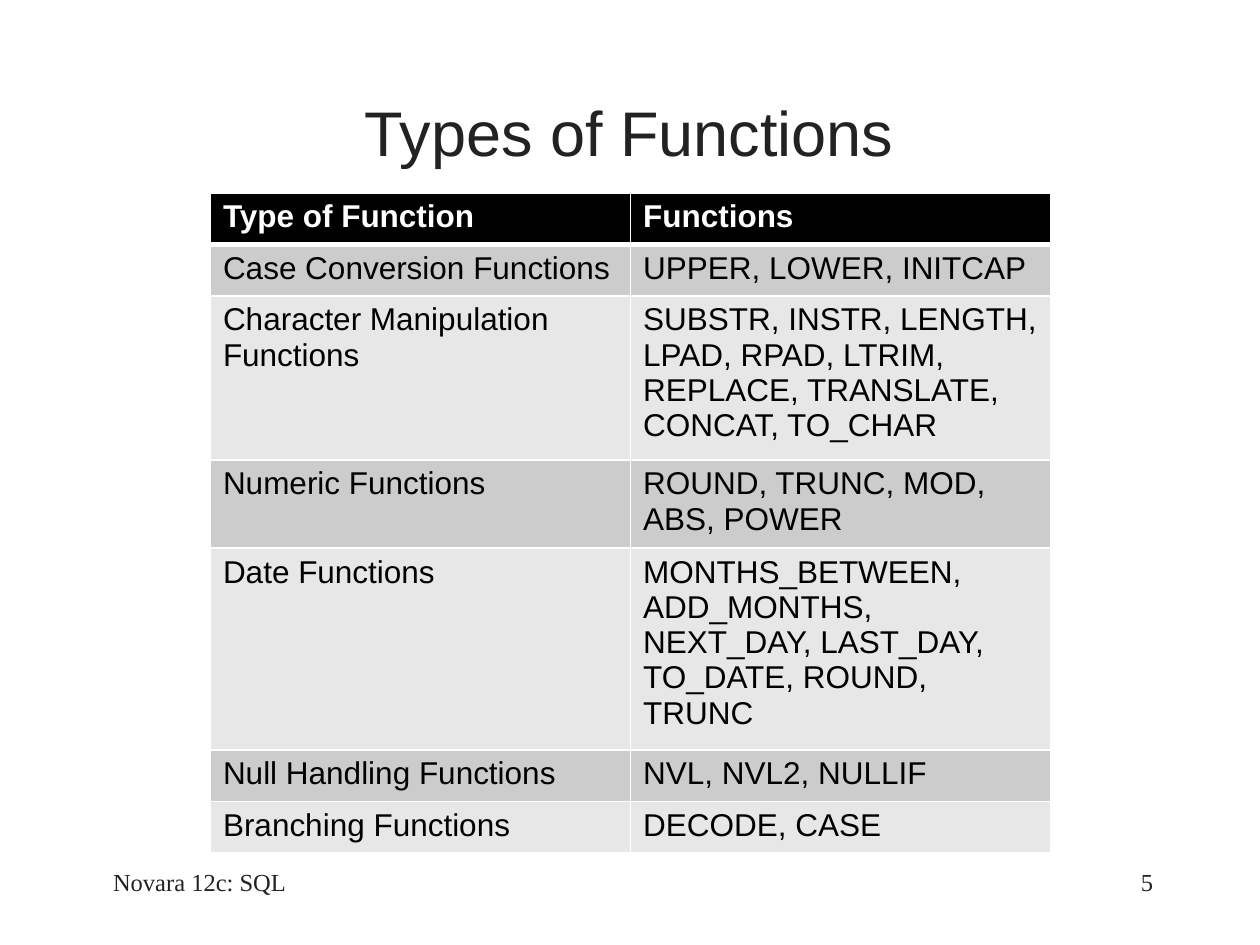
from lxml import etree
from pptx import Presentation
from pptx.dml.color import RGBColor
from pptx.enum.text import MSO_ANCHOR, PP_ALIGN
from pptx.oxml.ns import qn
from pptx.util import Inches, Pt

CENTER, RIGHT = PP_ALIGN.CENTER, PP_ALIGN.RIGHT
TOP, MIDDLE = MSO_ANCHOR.TOP, MSO_ANCHOR.MIDDLE

COLORS = {
    "text": "222222",
    "header": "000000",
    "header_text": "FFFFFF",
    "cell_text": "000000",
    "odd_row": "CCCCCC",
    "even_row": "E7E7E7",
    "border": "FFFFFF",
}

# text, (left, top, width, height), font, size, alignment, anchor
TEXTS = [
    ("Types of Functions", (0.58, 0.42, 8.83, 1.25), "Arial", 36, CENTER, MIDDLE),
    ("Novara 12c: SQL", (0, 6.83, 3.17, 0.5), "Times New Roman", 14, CENTER, TOP),
    ("5", (7.17, 6.83, 2.08, 0.5), "Times New Roman", 14, RIGHT, TOP),
]

ROWS = [
    ("Type of Function", "Functions"),
    ("Case Conversion Functions", "UPPER, LOWER, INITCAP"),
    ("Character Manipulation Functions",
     "SUBSTR, INSTR, LENGTH, LPAD, RPAD, LTRIM, REPLACE, TRANSLATE, CONCAT, TO_CHAR"),
    ("Numeric Functions", "ROUND, TRUNC, MOD, ABS, POWER"),
    ("Date Functions",
     "MONTHS_BETWEEN, ADD_MONTHS, NEXT_DAY, LAST_DAY, TO_DATE, ROUND, TRUNC"),
    ("Null Handling Functions", "NVL, NVL2, NULLIF"),
    ("Branching Functions", "DECODE, CASE"),
]
TABLE_LEFT, TABLE_TOP, TABLE_WIDTH, ROW_HEIGHT = 1.67, 1.53, 6.67, 0.41


def color(name):
    return RGBColor.from_string(COLORS[name])


def style_font(paragraph, name, size, color_name, bold=False):
    font = paragraph.font
    font.name, font.size, font.bold = name, Pt(size), bold
    font.color.rgb = color(color_name)


def add_text(slide, text, box, font_name, size, alignment, anchor):
    frame = slide.shapes.add_textbox(*map(Inches, box)).text_frame
    frame.word_wrap = True
    frame.vertical_anchor = anchor
    paragraph = frame.paragraphs[0]
    paragraph.text = text
    paragraph.alignment = alignment
    style_font(paragraph, font_name, size, "text")


def set_borders(cell, widths):
    """Draw the cell's borders; widths maps a side (L, R, T, B) to points."""
    properties = cell._tc.get_or_add_tcPr()
    for side, width in widths.items():
        line = etree.SubElement(properties, qn(f"a:ln{side}"), w=str(Pt(width)))
        fill = etree.SubElement(line, qn("a:solidFill"))
        etree.SubElement(fill, qn("a:srgbClr"), val=COLORS["border"])


def add_function_table(slide):
    table = slide.shapes.add_table(
        len(ROWS), len(ROWS[0]), Inches(TABLE_LEFT), Inches(TABLE_TOP),
        Inches(TABLE_WIDTH), Inches(ROW_HEIGHT * len(ROWS))).table
    for row_index, texts in enumerate(ROWS):
        is_header = row_index == 0
        if is_header:
            fill_name, text_color = "header", "header_text"
        else:
            fill_name = "odd_row" if row_index % 2 else "even_row"
            text_color = "cell_text"
        widths = {"L": 1, "R": 1, "T": 3 if row_index == 1 else 1,
                  "B": 3 if is_header else 1}
        for column_index, text in enumerate(texts):
            cell = table.cell(row_index, column_index)
            cell.text = text
            style_font(cell.text_frame.paragraphs[0], "Arial", 18, text_color, is_header)
            set_borders(cell, widths)
            cell.fill.solid()
            cell.fill.fore_color.rgb = color(fill_name)


def main():
    presentation = Presentation()
    presentation.slide_width, presentation.slide_height = Inches(10), Inches(7.5)
    slide = presentation.slides.add_slide(presentation.slide_layouts[6])
    for item in TEXTS:
        add_text(slide, *item)
    add_function_table(slide)
    presentation.save("out.pptx")


if __name__ == "__main__":
    main()
